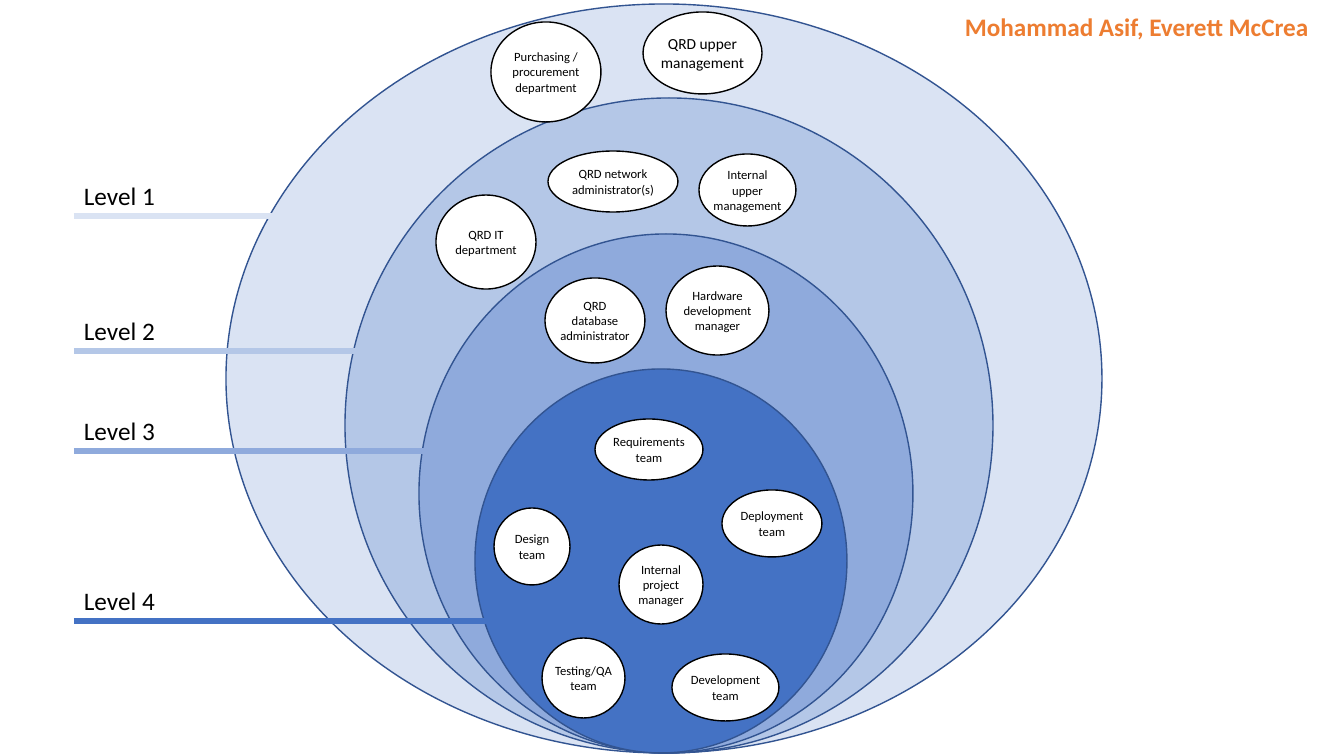
import pptx
import pptx.util
import pptx.dml.color
import pptx.enum.shapes
import pptx.enum.text
import pptx.oxml.ns
import lxml.etree

EMU_PER_PIXEL = 914400 / 100.8
SHAPES = pptx.enum.shapes.MSO_SHAPE
ALIGN = pptx.enum.text.PP_ALIGN
ANCHOR = pptx.enum.text.MSO_ANCHOR


def color(hex_string):
    return pptx.dml.color.RGBColor.from_string(hex_string)


def write(box, text, size=18, ink="000000", bold=False, align=ALIGN.LEFT):
    box.text_frame.word_wrap = True
    para = box.text_frame.paragraphs[0]
    para.alignment = align
    span = para.add_run()
    span.text = text
    span.font.name = "Calibri"
    span.font.size = pptx.util.Pt(size)
    span.font.bold = bold
    span.font.color.rgb = color(ink)


deck = pptx.Presentation()
deck.slide_width = round(1344 * EMU_PER_PIXEL)
deck.slide_height = round(756 * EMU_PER_PIXEL)
page = deck.slides.add_slide(deck.slide_layouts[6])

# Nested rings share one bottom edge; bubbles sit on top
ring_bottom = 753
levels = [  # ring left, top, width, fill, rule y, rule end
    (226, 4, 876, "DAE3F3", 216, 325),
    (345, 98, 648, "B4C7E7", 351, 371),
    (419, 234, 494, "8FAADC", 451, 449),
    (475, 369, 372, "4472C4", 621, 508),
]
bubbles = [  # left, top, width, height, text, size
    (643, 12, 119, 82, "QRD upper management", 11),
    (436, 195, 100, 94, "QRD IT department", 9),
    (491, 22, 110, 100, "Purchasing / procurement department", 9),
    (494, 508, 76, 77, "Design team", 9),
    (542, 638, 83, 80, "Testing/QA team", 9),
    (619, 545, 84, 79, "Internal project manager", 9),
    (672, 654, 107, 67, "Development team", 9),
    (722, 490, 100, 67, "Deployment team", 9),
    (666, 266, 103, 89, "Hardware development manager", 9),
    (595, 419, 108, 61, "Requirements team", 9),
    (548, 151, 130, 61, "QRD network administrator(s)", 9),
    (545, 278, 100, 85, "QRD database administrator", 9),
    (699, 154, 97, 72, "Internal upper management", 9),
]
ellipses = [(left, top, width, ring_bottom - top, fill, "325491", "", 9)
            for left, top, width, fill, rule_y, rule_end in levels]
ellipses += [(left, top, width, height, "FFFFFF", "000000", text, size)
             for left, top, width, height, text, size in bubbles]

for *place, fill, outline, text, size in ellipses:
    ellipse = page.shapes.add_shape(
        SHAPES.OVAL, *[round(n * EMU_PER_PIXEL) for n in place])
    ellipse.shadow.inherit = False
    ellipse.fill.solid()
    ellipse.fill.fore_color.rgb = color(fill)
    ellipse.line.color.rgb = color(outline)
    ellipse.line.width = pptx.util.Pt(1)
    if text:
        frame = ellipse.text_frame
        frame.margin_left = frame.margin_right = 0
        frame.margin_top = frame.margin_bottom = 0
        frame.vertical_anchor = ANCHOR.MIDDLE
        write(ellipse, text, size=size, align=ALIGN.CENTER)

# Level rules, each running into its ring
rule_left = 74
for left, top, width, fill, rule_y, rule_end in levels:
    rule = page.shapes.add_connector(
        pptx.enum.shapes.MSO_CONNECTOR.STRAIGHT,
        *[round(n * EMU_PER_PIXEL) for n in (rule_left, rule_y, rule_end, rule_y)])
    rule.line.color.rgb = color(fill)
    rule.line.width = pptx.util.Pt(4.5)
    lxml.etree.SubElement(rule._element.spPr, pptx.oxml.ns.qn("a:effectLst"))

# Level labels above the rules, and the authors
captions = [(rule_left, level[4] - 41, 198, f"Level {number}", "000000", False)
            for number, level in enumerate(levels, 1)]
captions.append((955, 6, 375, "Mohammad Asif, Everett McCrea", "ED7D31", True))
for left, top, width, text, ink, bold in captions:
    box = page.shapes.add_textbox(
        *[round(n * EMU_PER_PIXEL) for n in (left, top, width, 41)])
    write(box, text, ink=ink, bold=bold)
    box.text_frame.auto_size = pptx.enum.text.MSO_AUTO_SIZE.SHAPE_TO_FIT_TEXT

deck.save("out.pptx")
